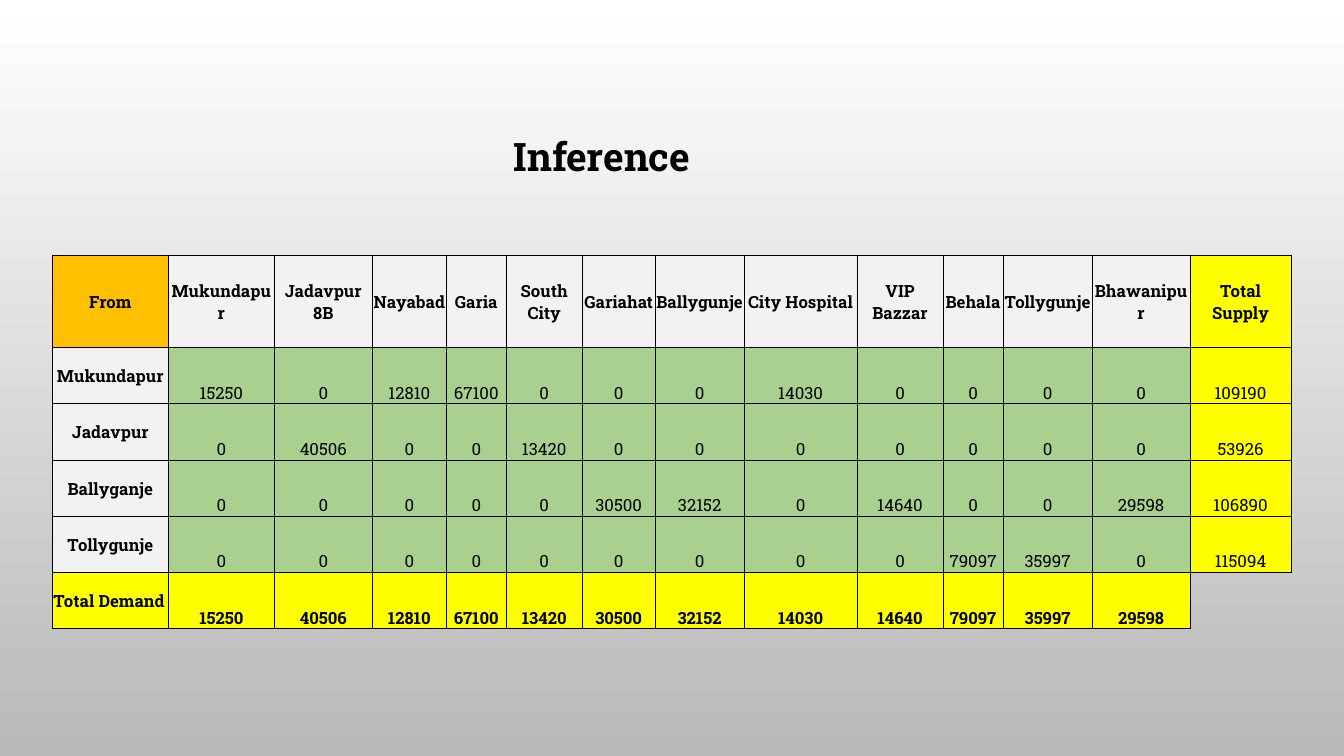
from pptx import Presentation
from pptx.dml.color import RGBColor
from pptx.enum.text import MSO_ANCHOR, PP_ALIGN
from pptx.oxml.ns import qn
from pptx.util import Pt
from lxml.etree import SubElement

FONT = "Roboto Slab"
BLACK, WHITE, SILVER = "000000", "FFFFFF", "B9B9B9"
ORANGE, GREY, GREEN, YELLOW = "FFC000", "F2F2F2", "A9D08E", "FFFF00"

DESTINATIONS = ["Mukundapur", "Jadavpur 8B", "Nayabad", "Garia", "South City", "Gariahat",
                "Ballygunje", "City Hospital", "VIP Bazzar", "Behala", "Tollygunje",
                "Bhawanipur"]
SHIPMENTS = {
    "Mukundapur": [15250, 0, 12810, 67100, 0, 0, 0, 14030, 0, 0, 0, 0],
    "Jadavpur": [0, 40506, 0, 0, 13420, 0, 0, 0, 0, 0, 0, 0],
    "Ballyganje": [0, 0, 0, 0, 0, 30500, 32152, 0, 14640, 0, 0, 29598],
    "Tollygunje": [0, 0, 0, 0, 0, 0, 0, 0, 0, 79097, 35997, 0],
}
COLUMN_WIDTHS = [82.9, 75.7, 70, 52.9, 42.8, 54.3, 52.1, 63.6, 80.7, 61.4, 42.9, 63.6, 70, 72.1]
HEADER_HEIGHT, ROW_HEIGHT = 65.9, 40.2
CELL_FORMAT = {"margin_left": Pt(0.72), "margin_right": Pt(0.72),
               "margin_top": Pt(0.72), "margin_bottom": 0}


def color(value):
    return RGBColor.from_string(value)


def style_text(paragraph, size, bold, align=PP_ALIGN.CENTER):
    paragraph.alignment = align
    for name, value in {"name": FONT, "size": Pt(size), "bold": bold}.items():
        setattr(paragraph.font, name, value)
    paragraph.font.color.rgb = color(BLACK)


def set_borders(cell, visible):
    """Draw thin black lines on the visible sides and none on the others."""
    properties = cell._tc.get_or_add_tcPr()
    for side in "LRTB":
        line = SubElement(properties, qn(f"a:ln{side}"), w=str(Pt(0.5)))
        if side in visible:
            fill = SubElement(line, qn("a:solidFill"))
            SubElement(fill, qn("a:srgbClr"), val=BLACK)
        else:
            SubElement(line, qn("a:noFill"))


def add_background(slide):
    fill = slide.background.fill
    fill.gradient()
    fill.gradient_angle = 270
    for stop, shade, position in zip(fill.gradient_stops, (WHITE, SILVER), (0, 1)):
        stop.color.rgb = color(shade)
        stop.position = position


def add_heading(slide, left, top, width, height):
    heading = slide.shapes.title
    box = {"left": left, "top": top, "width": width, "height": height}
    for name, value in box.items():
        setattr(heading, name, Pt(value))
    heading.text_frame.text = "Inference"
    heading.text_frame.vertical_anchor = MSO_ANCHOR.MIDDLE
    style_text(heading.text_frame.paragraphs[0], 28, True)


def cell_fill(row, column, last_row, last_column):
    if row == column == 0:
        return ORANGE
    if row == last_row or column == last_column:
        return YELLOW
    return GREY if row == 0 or column == 0 else GREEN


def add_shipment_table(slide, left, top):
    # Header, one row per source, then the column totals
    grid = [["From", *DESTINATIONS, "Total Supply"]]
    grid += [[source, *amounts, sum(amounts)] for source, amounts in SHIPMENTS.items()]
    grid.append(["Total Demand", *map(sum, zip(*SHIPMENTS.values())), ""])
    last_row, last_column = len(grid) - 1, len(COLUMN_WIDTHS) - 1

    table = slide.shapes.add_table(
        len(grid), len(COLUMN_WIDTHS), Pt(left), Pt(top),
        Pt(sum(COLUMN_WIDTHS)), Pt(HEADER_HEIGHT + ROW_HEIGHT * last_row)).table
    table.first_row = table.horz_banding = False
    for column, width in zip(table.columns, COLUMN_WIDTHS):
        column.width = Pt(width)
    for index, row in enumerate(table.rows):
        row.height = Pt(ROW_HEIGHT if index else HEADER_HEIGHT)

    for r, values in enumerate(grid):
        for c, value in enumerate(values):
            cell = table.cell(r, c)
            for name, setting in CELL_FORMAT.items():
                setattr(cell, name, setting)
            # The corner below the supply totals stays open
            if (r, c) == (last_row, last_column):
                set_borders(cell, "LT")
                cell.fill.background()
                continue
            set_borders(cell, "LRTB")
            cell.fill.solid()
            cell.fill.fore_color.rgb = color(cell_fill(r, c, last_row, last_column))
            label = r == 0 or c == 0
            cell.vertical_anchor = MSO_ANCHOR.MIDDLE if label else MSO_ANCHOR.BOTTOM
            cell.text = str(value)
            align = PP_ALIGN.LEFT if (r, c) == (last_row, 0) else PP_ALIGN.CENTER
            style_text(cell.text_frame.paragraphs[0], 12, label or r == last_row, align)


def main():
    deck = Presentation()
    deck.slide_width, deck.slide_height = Pt(960), Pt(540)
    slide = deck.slides.add_slide(deck.slide_layouts[5])
    add_background(slide)
    add_shipment_table(slide, 37.4, 182.2)
    add_heading(slide, 190, 90.7, 480, 41)
    deck.save("out.pptx")


if __name__ == "__main__":
    main()
